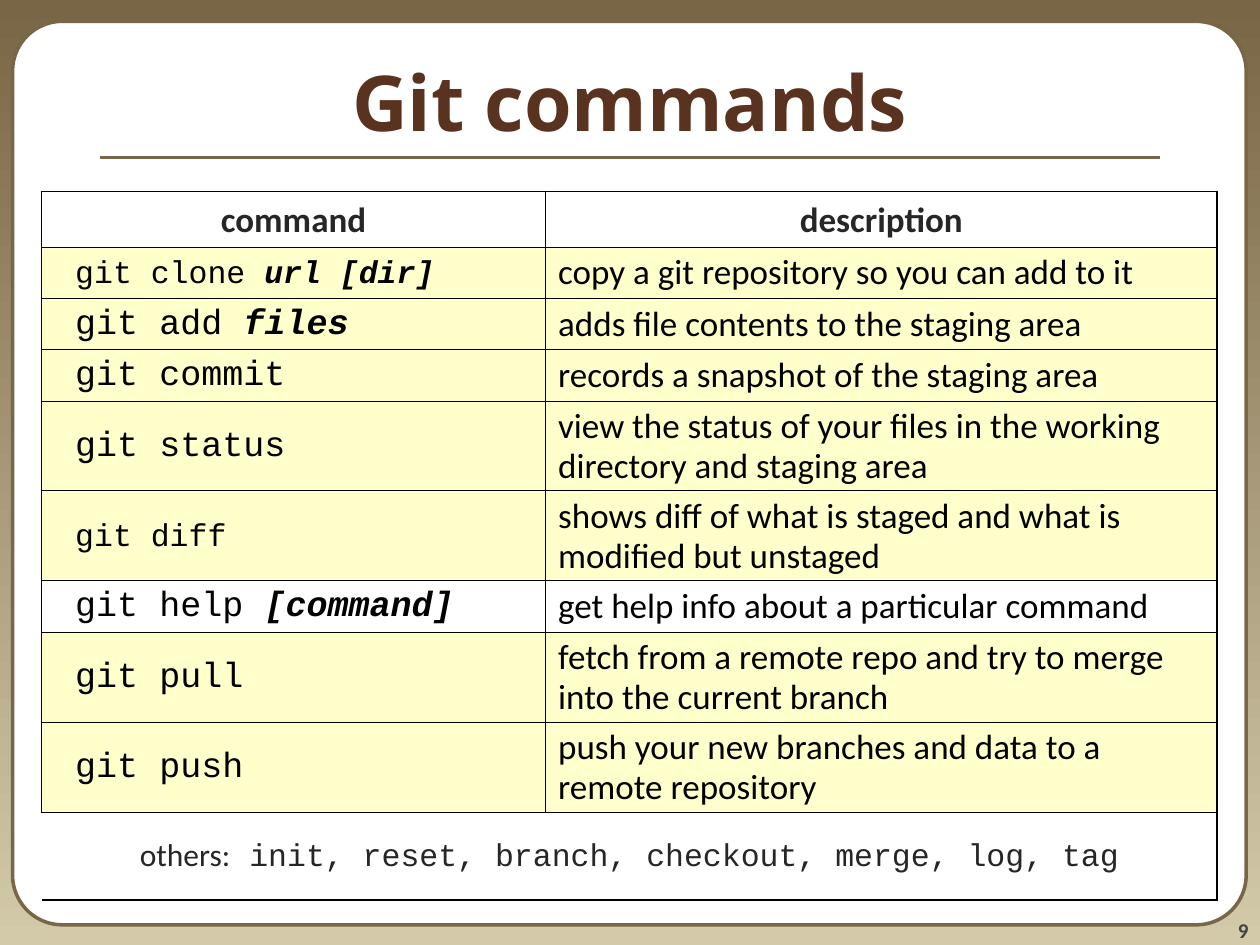
import pptx
import pptx.util
import pptx.dml.color
import pptx.enum.shapes
import pptx.enum.text
import pptx.oxml
import pptx.oxml.ns

Inches = pptx.util.Inches
Pt = pptx.util.Pt
ALIGN = pptx.enum.text.PP_ALIGN
ANCHOR = pptx.enum.text.MSO_ANCHOR

BROWN, TAN, TITLE, DARK, BLACK = "796646", "D3CAAA", "5A3320", "262626", "000000"
WHITE, YELLOW = "FFFFFF", "FFFFCC"
THIN, THICK = 0.45, 1.08

HEAD = {"name": "Calibri", "size": Pt(20), "bold": True, "color": DARK}
BODY = {"name": "Calibri", "size": Pt(20), "color": BLACK}
CODE = {"name": "Courier New", "size": Pt(20), "color": BLACK}
CODE_SMALL = {**CODE, "size": Pt(18)}
ARGUMENT = {"bold": True, "italic": True}

HEAD_PARA = {"alignment": ALIGN.CENTER, "line_spacing": 1.02, "space_before": Pt(5)}
CODE_PARA = {"line_spacing": 0.88, "space_before": Pt(5)}
SMALL_PARA = {"line_spacing": 0.88, "space_before": Pt(4.5)}
BODY_PARA = {"line_spacing": 0.92, "space_before": Pt(5)}
OTHERS_PARA = {**HEAD_PARA, "space_before": Pt(4.5)}

COMMANDS = [
    ("git clone ", "url [dir]", "copy a git repository so you can add to it", 0.4),
    ("git add ", "files", "adds file contents to the staging area", 0.4),
    ("git commit", "", "records a snapshot of the staging area", 0.4),
    ("git status", "", "view the status of your files in the working directory and staging area", 0.7),
    ("git diff", "", "shows diff of what is staged and what is modified but unstaged", 0.7),
    ("git help ", "[command]", "get help info about a particular command", 0.4),
    ("git pull", "", "fetch from a remote repo and try to merge into the current branch", 0.7),
    ("git push", "", "push your new branches and data to a remote repository", 0.7),
]
SMALL_COMMANDS = ("git clone ", "git diff")
PLAIN_COMMANDS = ("git help ",)


def rgb(value):
    """Return the colour for a hex string."""
    return pptx.dml.color.RGBColor.from_string(value)


def write(p, runs, para):
    """Fill a paragraph with formatted runs."""
    for key, value in para.items():
        setattr(p, key, value)
    for text, font in runs:
        r = p.add_run()
        r.text = text
        for key, value in font.items():
            if key == "color":
                r.font.color.rgb = rgb(value)
            else:
                setattr(r.font, key, value)


def add_label(s, box, text, font, para, anchor, insets):
    """Place a one-line text box."""
    tf = s.shapes.add_textbox(*map(Inches, box)).text_frame
    tf.word_wrap = True
    tf.vertical_anchor = anchor
    sides = ("margin_left", "margin_top", "margin_right", "margin_bottom")
    for side, inset in zip(sides, insets):
        setattr(tf, side, Inches(inset))
    write(tf.paragraphs[0], [(text, font)], para)


def add_frame(s, box):
    """Draw the gradient background and the rounded white panel."""
    fill = s.background.fill
    fill.gradient()
    fill.gradient_angle = 270
    for stop, color in zip(fill.gradient_stops, (BROWN, TAN)):
        stop.color.rgb = rgb(color)
    sp = s.shapes.add_shape(
        pptx.enum.shapes.MSO_SHAPE.ROUNDED_RECTANGLE, *map(Inches, box))
    sp.adjustments[0] = 0.055
    sp.shadow.inherit = False
    sp.fill.solid()
    sp.fill.fore_color.rgb = rgb(WHITE)
    sp.line.color.rgb = rgb(BROWN)
    sp.line.width = Pt(2)


def add_title(s, box):
    """Place the title and the rule under it."""
    left, top, width, height = box
    margin, rule_y = 0.79, 1.25
    rule = s.shapes.add_connector(
        pptx.enum.shapes.MSO_CONNECTOR.STRAIGHT, Inches(left + margin),
        Inches(rule_y), Inches(left + width - margin), Inches(rule_y))
    rule.line.color.rgb = rgb(BROWN)
    rule.line.width = Pt(2.25)
    pptx.oxml.ns.qn("a:effectLst")
    rule._element.spPr.append(pptx.oxml.parse_xml(
        f'<a:effectLst {pptx.oxml.ns.nsdecls("a")}/>'))
    font = {"name": "Open Sans", "size": Pt(44), "bold": True, "color": TITLE}
    add_label(s, box, "Git commands", font, {"alignment": ALIGN.CENTER},
              ANCHOR.MIDDLE, (0.1, 0.05, 0.1, 0.05))


def set_borders(cell, widths):
    """Set left, right, top and bottom borders; zero means none."""
    tc_pr = cell._tc.get_or_add_tcPr()
    for i, (side, width) in enumerate(zip("LRTB", widths)):
        paint = f'<a:solidFill><a:srgbClr val="{BLACK}"/></a:solidFill>' if width else "<a:noFill/>"
        tc_pr.insert(i, pptx.oxml.parse_xml(
            f'<a:ln{side} {pptx.oxml.ns.nsdecls("a")} w="{int(Pt(width))}">{paint}</a:ln{side}>'))


def fill_cell(cell, runs, para, color, borders):
    """Write, colour and border one table cell."""
    cell.vertical_anchor = ANCHOR.MIDDLE
    if color:
        cell.fill.solid()
        cell.fill.fore_color.rgb = rgb(color)
    else:
        cell.fill.background()
    write(cell.text_frame.paragraphs[0], runs, para)
    set_borders(cell, borders)


def command_runs(command, argument):
    """Return the runs of a command cell."""
    code = CODE_SMALL if command in SMALL_COMMANDS else CODE
    runs = [(" ", CODE), (command, code)]
    return runs + [(argument, {**code, **ARGUMENT})] if argument else runs


def add_commands(s, box):
    """Place the table of commands."""
    heights = [0.44] + [row[-1] for row in COMMANDS] + [0.7]
    table = s.shapes.add_table(len(heights), 2, *map(Inches, box)).table
    table.first_row = table.horz_banding = False
    for column, width in zip(table.columns, (4, box[2] - 4)):
        column.width = Inches(width)
    for row, height in zip(table.rows, heights):
        row.height = Inches(height)

    for c, text in enumerate(("command", "description")):
        sides = (THIN, THICK) if c else (THICK, THIN)
        fill_cell(table.cell(0, c), [(text, HEAD)], HEAD_PARA, None,
                  (*sides, THICK, THIN))

    for i, (command, argument, description, _) in enumerate(COMMANDS, 1):
        color = None if command in PLAIN_COMMANDS else YELLOW
        para = SMALL_PARA if command in SMALL_COMMANDS else CODE_PARA
        fill_cell(table.cell(i, 0), command_runs(command, argument), para, color,
                  (THICK, THIN, THIN, THIN))
        fill_cell(table.cell(i, 1), [(description, BODY)], BODY_PARA, color,
                  (THIN, THICK, THIN, THIN))

    last = len(heights) - 1
    table.cell(last, 0).merge(table.cell(last, 1))
    others = [
        ("others:", {**BODY, "size": Pt(18), "color": DARK}),
        (" init, reset, branch, checkout, merge, log, tag", {**CODE_SMALL, "color": DARK}),
    ]
    for c, runs in enumerate((others, [])):
        fill_cell(table.cell(last, c), runs, OTHERS_PARA, None, (0, THICK, THIN, THICK))


def add_number(s, box):
    """Place the slide number."""
    font = {"name": "Calibri", "size": Pt(12), "bold": True, "color": "424242"}
    para = {"alignment": ALIGN.RIGHT, "space_before": Pt(5)}
    add_label(s, box, "9", font, para, ANCHOR.BOTTOM, (0, 0, 0, 0))


def main():
    """Build and save the slide."""
    prs = pptx.Presentation()
    prs.slide_width, prs.slide_height = Inches(10), Inches(7.5)
    s = prs.slides.add_slide(prs.slide_layouts[6])
    add_frame(s, (0.1, 0.17, 9.79, 7.17))
    add_number(s, (9.08, 7.08, 0.83, 0.4))
    add_title(s, (0, 0.17, 10, 1.25))
    add_commands(s, (0.33, 1.52, 9.33, 5.53))
    prs.save("out.pptx")


if __name__ == "__main__":
    main()
